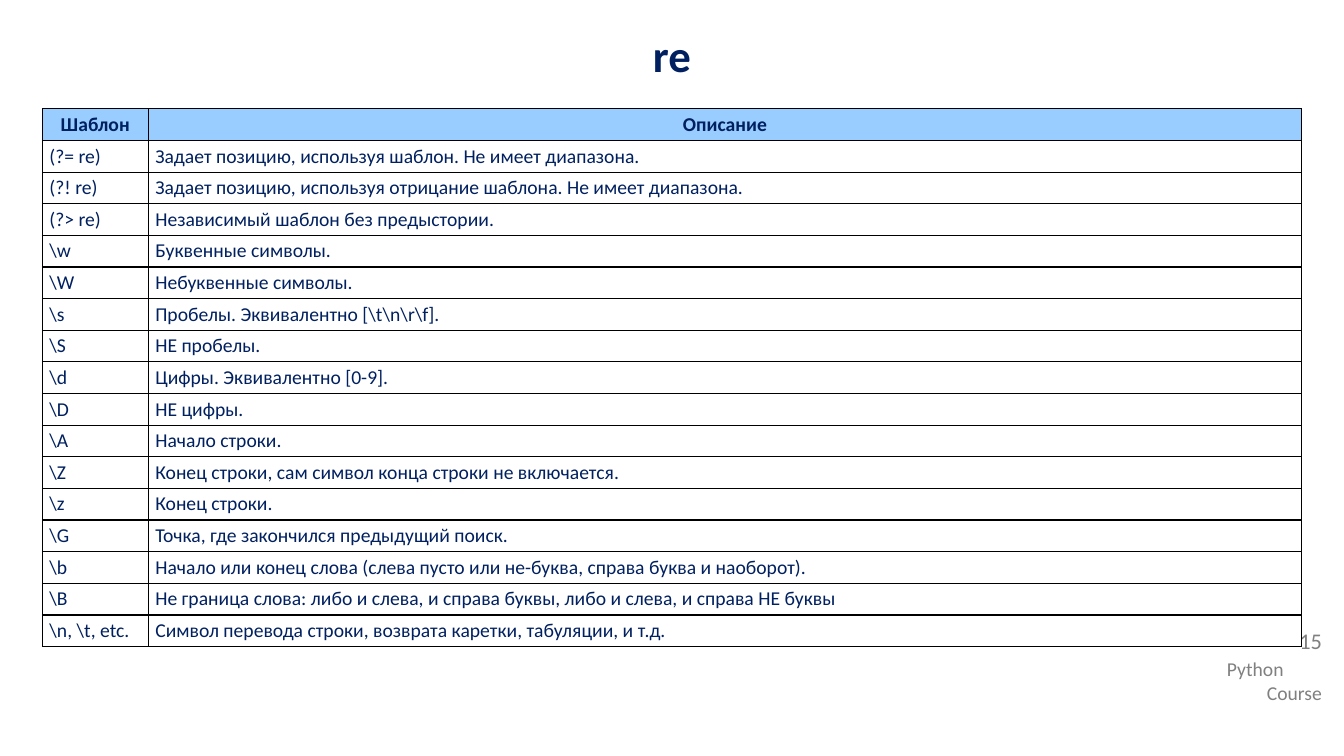
from lxml.etree import SubElement as Sub
from pptx import Presentation as Deck
from pptx.dml.color import RGBColor as RGB
from pptx.enum.text import MSO_ANCHOR as Anchor, PP_ALIGN as Align
from pptx.oxml.ns import qn
from pptx.util import Inches, Pt

ROWS = [
    ("Шаблон", "Описание"),
    ("(?= re)", "Задает позицию, используя шаблон. Не имеет диапазона."),
    ("(?! re)", "Задает позицию, используя отрицание шаблона. Не имеет диапазона."),
    ("(?> re)", "Независимый шаблон без предыстории."),
    (r"\w", "Буквенные символы."),
    (r"\W", "Небуквенные символы."),
    (r"\s", r"Пробелы. Эквивалентно [\t\n\r\f]."),
    (r"\S", "НЕ пробелы."),
    (r"\d", "Цифры. Эквивалентно [0-9]."),
    (r"\D", "НЕ цифры."),
    (r"\A", "Начало строки."),
    (r"\Z", "Конец строки, сам символ конца строки не включается."),
    (r"\z", "Конец строки."),
    (r"\G", "Точка, где закончился предыдущий поиск."),
    (r"\b", "Начало или конец слова (слева пусто или не-буква, справа буква и наоборот)."),
    (r"\B", "Не граница слова: либо и слева, и справа буквы, либо и слева, и справа НЕ буквы"),
    (r"\n, \t, etc.", "Символ перевода строки, возврата каретки, табуляции, и т.д."),
]


def color(code):
    return RGB.from_string(code)


def style(item, form):
    for key, val in form.items():
        setattr(item, key, val)


class Page:
    font = "Calibri"
    navy = "002060"
    gray = "808080"
    head = "99CCFF"
    line = "000000"

    def __init__(self, slide):
        self.slide = slide

    def label(self, para, text, size, tint, bold=False, **form):
        run = para.add_run()
        run.text = text
        style(run.font, {"name": self.font, "size": Pt(size), "bold": bold})
        run.font.color.rgb = color(tint)
        style(para, form)

    def text(self, box, parts, size, tint, bold=False, **form):
        frame = self.slide.shapes.add_textbox(*map(Inches, box)).text_frame
        style(frame, {"word_wrap": True, "vertical_anchor": Anchor.TOP})
        for num, (text, align) in enumerate(parts):
            para = frame.add_paragraph() if num else frame.paragraphs[0]
            self.label(para, text, size, tint, bold, alignment=align, **form)

    def border(self, cell):
        props = cell._tc.get_or_add_tcPr()
        for num, side in enumerate(("lnL", "lnR", "lnT", "lnB")):
            edge = props.makeelement(qn("a:" + side), {"w": str(Pt(1))})
            props.insert(num, edge)
            fill = Sub(edge, qn("a:solidFill"))
            Sub(fill, qn("a:srgbClr"), val=self.line)

    def cell(self, cell, text, top):
        style(cell, {
            "margin_left": Inches(0.03), "margin_right": Inches(0.03),
            "margin_top": Inches(0.01), "margin_bottom": Inches(0.01),
            "vertical_anchor": Anchor.MIDDLE,
        })
        para = cell.text_frame.paragraphs[0]
        align = Align.CENTER if top else Align.LEFT
        self.label(para, text, 14, self.navy, top, alignment=align)
        if top:
            cell.fill.solid()
            cell.fill.fore_color.rgb = color(self.head)
        else:
            cell.fill.background()
            props = para._p.get_or_add_pPr()
            props.set("marL", str(Inches(0.04)))
            props.set("indent", "0")
        self.border(cell)

    def table(self, box, rows, wide):
        grid = self.slide.shapes.add_table(len(rows), len(wide), *map(Inches, box)).table
        style(grid, {"first_row": False, "horz_banding": False})
        for col, width in zip(grid.columns, wide):
            col.width = Inches(width)
        for row, texts in enumerate(rows):
            grid.rows[row].height = Inches(box[3] / len(rows))
            for col, text in enumerate(texts):
                self.cell(grid.cell(row, col), text, row == 0)


def main():
    deck = Deck()
    style(deck, {"slide_width": Inches(13.33), "slide_height": Inches(7.5)})
    page = Page(deck.slides.add_slide(deck.slide_layouts[6]))
    page.text((12.07, 6.47, 1.14, 0.57),
              [("Python", Align.LEFT), ("Course", Align.RIGHT)], 14, page.gray)
    page.text((12.07, 6.2, 1.14, 0.45), [("15", Align.RIGHT)], 16, page.gray,
              line_spacing=0.9, space_before=Pt(10))
    page.text((0, 0.23, 13.33, 0.76), [("re", Align.CENTER)], 32, page.navy, True,
              space_before=Pt(5), space_after=Pt(5))
    page.table((0.42, 1.08, 12.49, 5.34), ROWS, (1.05, 11.44))
    deck.save("out.pptx")


if __name__ == "__main__":
    main()
